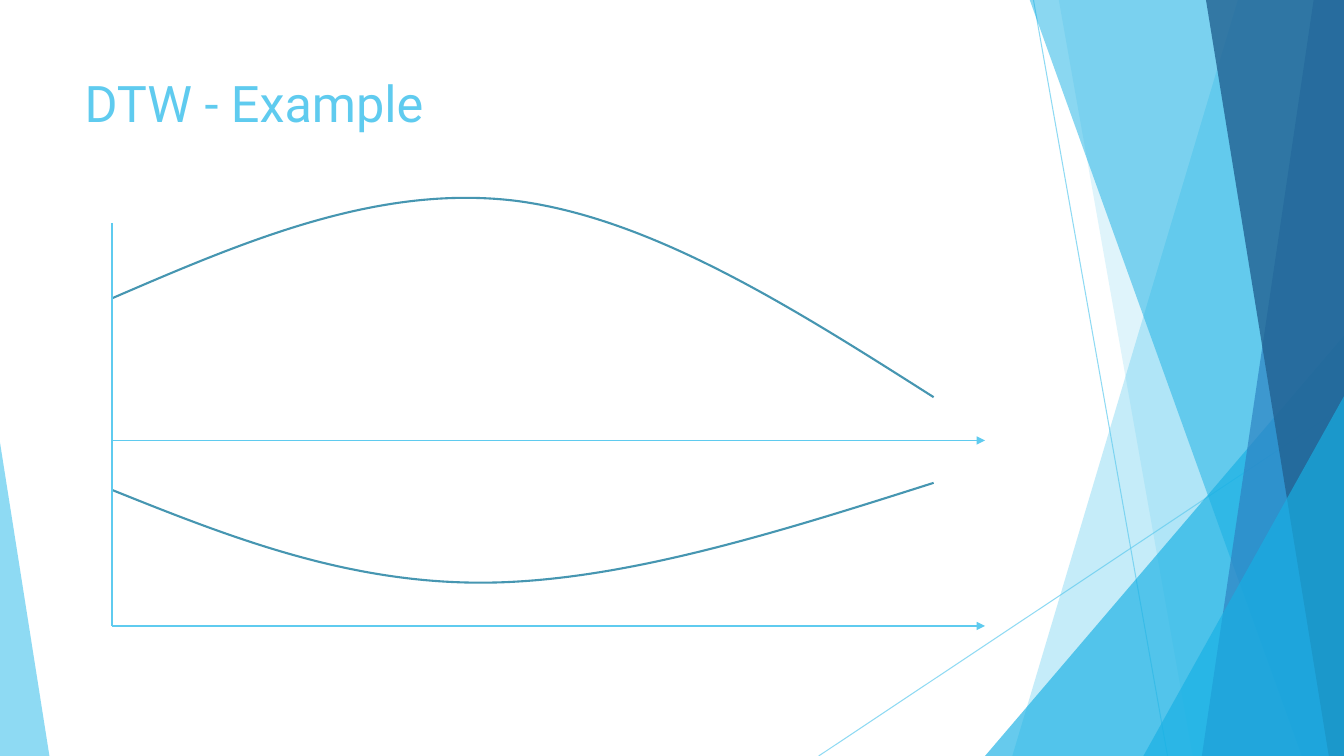
"""Build the DTW example slide: two time series on stacked axes beside a faceted ribbon."""
from dataclasses import dataclass

from lxml import etree
from pptx import Presentation
from pptx import util as u
from pptx.dml.color import RGBColor
from pptx.enum import shapes, text
from pptx.oxml.ns import qn


@dataclass(frozen=True)
class Theme:
    sky: str = "5FCBEF"
    cyan: str = "17B0E4"
    blue: str = "2E83C3"
    navy: str = "226292"
    curve: str = "4696B1"
    font: str = "Roboto"
    title_size: float = 36
    hairline: float = 0.75
    axis_width: float = 1
    curve_width: float = 1.5


class SlideBuilder:
    def __init__(self, slide, theme):
        self.slide, self.theme = slide, theme

    def paint(self, color_format, color, opacity=100):
        color_format.rgb = RGBColor.from_string(color)
        if opacity < 100:
            for clr in color_format._xFill.iter(qn("a:srgbClr")):
                etree.SubElement(clr, qn("a:alpha"), val=str(opacity * 1000))

    def fill(self, sp, color, opacity):
        sp.shadow.inherit = False
        sp.line.fill.background()
        sp.fill.solid()
        self.paint(sp.fill.fore_color, color, opacity)

    def line(self, start, end, width, opacity=100, arrow=False):
        ends = [u.Inches(v) for v in (*start, *end)]
        sp = self.slide.shapes.add_connector(shapes.MSO_CONNECTOR.STRAIGHT, *ends)
        sp.line.width = u.Pt(width)
        sp.line.fill.solid()
        self.paint(sp.line.color, self.theme.sky, opacity)
        if arrow:
            etree.SubElement(sp.line._get_or_add_ln(), qn("a:tailEnd"), type="triangle")
        etree.SubElement(sp._element.spPr, qn("a:effectLst"))

    def outline(self, points, close):
        first, *rest = [(u.Inches(x), u.Inches(y)) for x, y in points]
        builder = self.slide.shapes.build_freeform(*first)
        builder.add_line_segments(rest, close=close)
        sp = builder.convert_to_shape()
        sp.shadow.inherit = False
        return sp

    def facet(self, top_x, bottom_x, color, opacity):
        top, right, bottom = -0.01, 13.33, 7.5
        corners = [(top_x, top), (right, top), (right, bottom), (bottom_x, bottom)]
        self.fill(self.outline(corners, True), color, opacity)

    def triangle(self, left, top, width, apex, color, opacity):
        box = [u.Inches(v) for v in (left, top, width, 7.5 - top)]
        sp = self.slide.shapes.add_shape(shapes.MSO_SHAPE.ISOSCELES_TRIANGLE, *box)
        sp.adjustments[0] = apex
        self.fill(sp, color, opacity)

    def curve(self, points):
        """Draw a Bezier chain whose every third point lies on the curve."""
        sp = self.outline(points[::3], False)
        for i, segment in enumerate(list(sp._element.iter(qn("a:lnTo")))):
            segment.tag = qn("a:cubicBezTo")
            segment.remove(segment[0])
            for x, y in points[3 * i + 1:3 * i + 4]:
                etree.SubElement(segment, qn("a:pt"), x=str(u.Inches(x) - sp.left),
                                 y=str(u.Inches(y) - sp.top))
        sp.fill.background()
        sp.line.width = u.Pt(self.theme.curve_width)
        sp.line.fill.solid()
        self.paint(sp.line.color, self.theme.curve)

    def title(self, words):
        box = [u.Inches(v) for v in (0.74, 0.67, 9.4, 1.44)]
        tf = self.slide.shapes.add_textbox(*box).text_frame
        tf.word_wrap = True
        tf.vertical_anchor = text.MSO_ANCHOR.TOP
        r = tf.paragraphs[0].add_run()
        r.text = words
        r.font.name = self.theme.font
        r.font.size = u.Pt(self.theme.title_size)
        self.paint(r.font.color, self.theme.sky)


def main():
    prs = Presentation()
    prs.slide_width, prs.slide_height = u.Inches(13.33), u.Inches(7.5)
    theme = Theme()
    s = SlideBuilder(prs.slides.add_slide(prs.slide_layouts[6]), theme)

    s.line((10.25, 0), (11.58, 7.5), theme.hairline, 70)
    s.line((13.33, 4.03), (8.12, 7.5), theme.hairline, 70)
    s.facet(12.28, 10.04, theme.sky, 36)
    s.facet(10.5, 11.83, theme.sky, 20)
    s.triangle(9.77, 3.33, 3.56, 1, theme.cyan, 66)
    s.facet(10.21, 12.91, theme.cyan, 50)
    s.facet(13.03, 11.92, theme.blue, 70)
    s.facet(11.96, 13.18, theme.navy, 80)
    s.triangle(11.34, 3.93, 1.99, 1, theme.cyan, 66)
    s.triangle(0, 4.39, 0.49, 0, theme.sky, 70)

    s.title("DTW - Example")
    s.curve([(1.11, 2.96), (2.43, 2.39), (3.74, 1.83), (5.1, 1.99),
             (6.46, 2.16), (7.86, 3.05), (9.26, 3.94)])
    s.curve([(9.26, 4.79), (7.72, 5.28), (6.17, 5.77), (4.81, 5.78),
             (3.45, 5.79), (2.28, 5.33), (1.11, 4.86)])

    axis_x, axis_end, baselines = 1.11, 9.77, (4.37, 6.21)
    s.line((axis_x, 2.21), (axis_x, baselines[-1]), theme.axis_width)
    for y in baselines:
        s.line((axis_x, y), (axis_end, y), theme.axis_width, arrow=True)
    prs.save("out.pptx")


if __name__ == "__main__":
    main()
